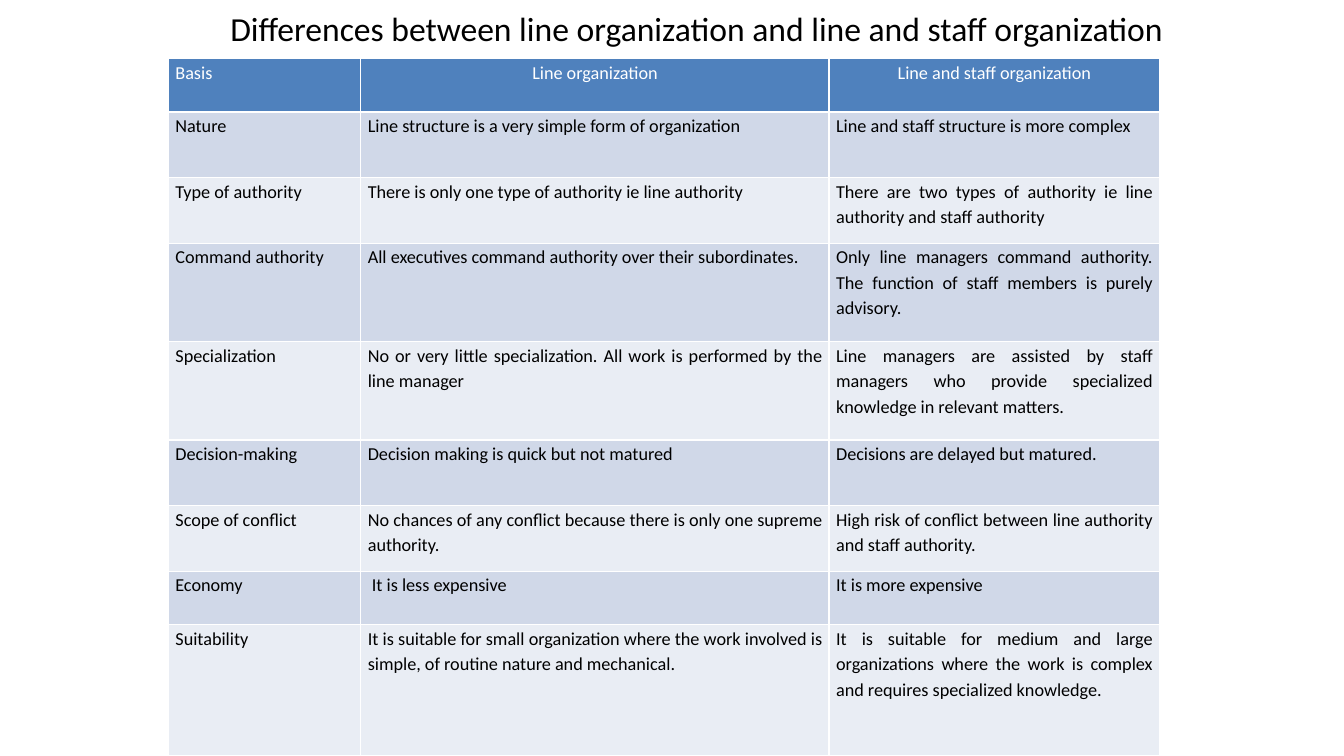
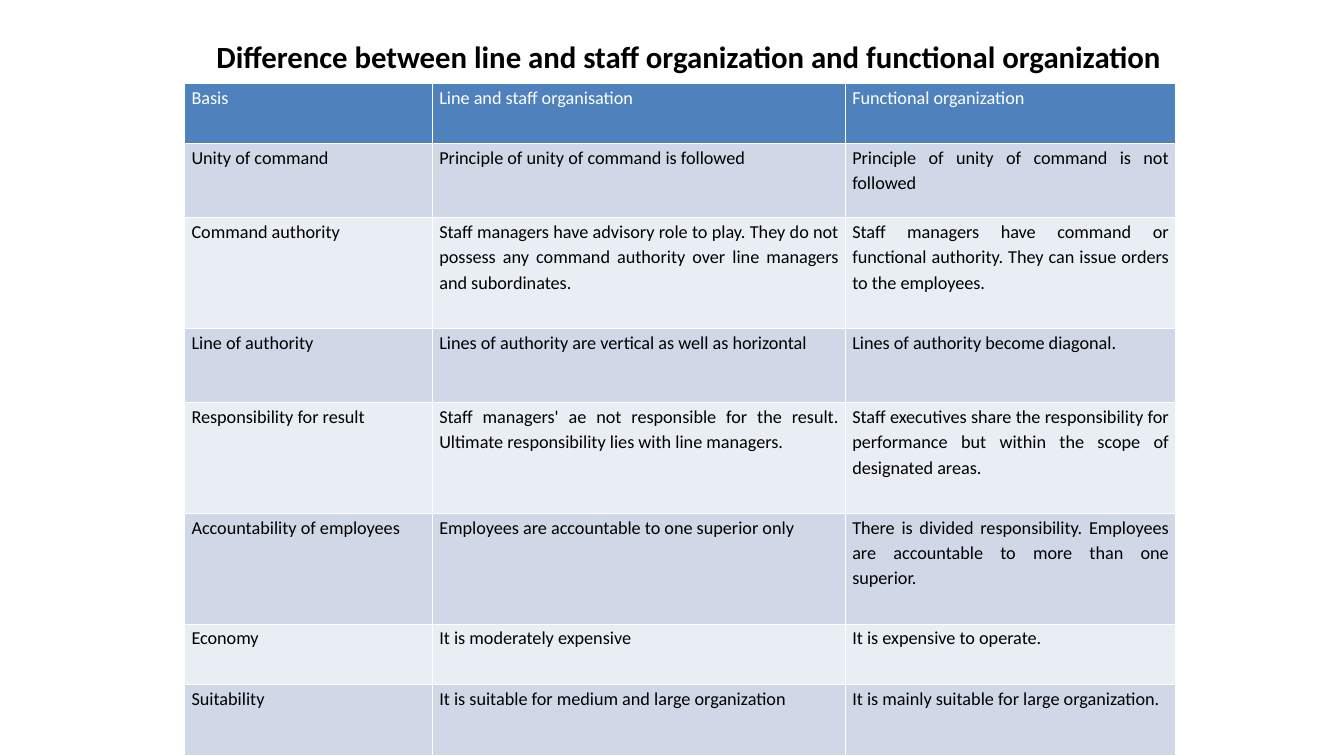
"""Build two slides that compare forms of organization in tables."""
from pptx import Presentation
from pptx.dml.color import RGBColor
from pptx.enum.text import MSO_ANCHOR, PP_ALIGN
from pptx.util import Inches, Pt

CENTER, JUSTIFY = PP_ALIGN.CENTER, PP_ALIGN.JUSTIFY
MIDDLE, TOP = MSO_ANCHOR.MIDDLE, MSO_ANCHOR.TOP

WHITE = RGBColor(0xFF, 0xFF, 0xFF)
BLACK = RGBColor(0x00, 0x00, 0x00)
HEADER_BLUE = RGBColor(0x4F, 0x81, 0xBD)
BAND_DARK = RGBColor(0xD0, 0xD8, 0xE8)
BAND_LIGHT = RGBColor(0xE9, 0xED, 0xF4)

FONT = "Calibri"
CELL_SIZE = 13
SLIDE_WIDTH, SLIDE_HEIGHT = Inches(13.33), Inches(7.5)
TABLE_WIDTH = Inches(9.83)
TITLE_HEIGHT = Inches(0.58)
CELL_INSET = Inches(0.07)
TITLE_ONLY = 5
SHORT_ROW = 1.63

LINE_ROWS = [
    ("Basis", "Line organization", "Line and staff organization"),
    ("Nature",
     "Line structure is a very simple form of organization",
     "Line and staff structure is more complex"),
    ("Type of authority",
     "There is only one type of authority ie line authority",
     "There are two types of authority ie line authority and staff authority"),
    ("Command authority",
     "All executives command authority over their subordinates.",
     "Only line managers command authority. The function of staff members "
     "is purely advisory."),
    ("Specialization",
     "No or very little specialization. All work is performed by the line manager",
     "Line managers are assisted by staff managers who provide specialized "
     "knowledge in relevant matters."),
    ("Decision-making",
     "Decision making is quick but not matured",
     "Decisions are delayed but matured."),
    ("Scope of conflict",
     "No chances of any conflict because there is only one supreme authority.",
     "High risk of conflict between line authority and staff authority."),
    ("Economy", " It is less expensive", "It is more expensive"),
    ("Suitability",
     "It is suitable for small organization where the work involved is simple, "
     "of routine nature and mechanical.",
     "It is suitable for medium and large organizations where the work is "
     "complex and requires specialized knowledge."),
]

FUNCTIONAL_ROWS = [
    ("Basis", "Line and staff organisation", "Functional organization"),
    ("Unity of command",
     "Principle of unity of command is followed",
     "Principle of unity of command is not followed"),
    ("Command authority",
     "Staff managers have advisory role to play. They do not possess any "
     "command authority over line managers and subordinates.",
     "Staff managers have command or functional authority. They can issue "
     "orders to the employees."),
    ("Line of authority",
     "Lines of authority are vertical as well as horizontal",
     "Lines of authority become diagonal."),
    ("Responsibility for result",
     "Staff managers' ae not responsible for the result. Ultimate "
     "responsibility lies with line managers.",
     "Staff executives share the responsibility for performance but within "
     "the scope of designated areas."),
    ("Accountability of employees",
     "Employees are accountable to one superior only",
     "There is divided responsibility. Employees are accountable to more "
     "than one superior."),
    ("Economy", "It is moderately expensive", "It is expensive to operate."),
    ("Suitability",
     "It is suitable for medium and large organization",
     "It is mainly suitable for large organization."),
]


def add_span(para, text, size, color, bold=False):
    """Add one formatted run to a paragraph."""
    span = para.add_run()
    span.text = text
    span.font.name = FONT
    span.font.size = Pt(size)
    span.font.bold = bold
    span.font.color.rgb = color


def set_title(page, text, middle, size, bold=False):
    """Centre the title placeholder on a point and write its text."""
    box = page.shapes.title
    box.width, box.height = Inches(11.16), TITLE_HEIGHT
    box.left = Inches(middle[0]) - box.width // 2
    box.top = Inches(middle[1]) - TITLE_HEIGHT // 2
    box.text_frame.vertical_anchor = MIDDLE
    para = box.text_frame.paragraphs[0]
    para.alignment = CENTER
    add_span(para, text, size, BLACK, bold)


def fill_cell(cell, text, fill, color, alignment):
    """Format one table cell and write its text."""
    cell.fill.solid()
    cell.fill.fore_color.rgb = fill
    cell.margin_left = cell.margin_right = CELL_INSET
    cell.margin_top = cell.margin_bottom = 0
    cell.vertical_anchor = TOP
    para = cell.text_frame.paragraphs[0]
    para.alignment = alignment
    para.line_spacing = 1.15
    add_span(para, text, CELL_SIZE, color)


def share_length(parts, weights, total):
    """Divide a length among columns or rows by weight."""
    for index, weight in enumerate(weights):
        length = int(total * weight / sum(weights))
        if hasattr(parts[index], "width"):
            parts[index].width = length
        else:
            parts[index].height = length


def add_comparison(page, rows, left, top, columns, row_weights, header_alignments):
    """Add a banded comparison table that reaches the foot of the slide."""
    height = SLIDE_HEIGHT - Inches(top)
    table = page.shapes.add_table(
        len(rows), len(columns), Inches(left), Inches(top), TABLE_WIDTH, height).table
    share_length(table.columns, columns, TABLE_WIDTH)
    share_length(table.rows, row_weights, height)
    for row, texts in enumerate(rows):
        for column, text in enumerate(texts):
            if row == 0:
                style = HEADER_BLUE, WHITE, header_alignments[column]
            else:
                style = BAND_DARK if row % 2 else BAND_LIGHT, BLACK, JUSTIFY
            fill_cell(table.cell(row, column), text, *style)


def main():
    """Build and save the deck."""
    deck = Presentation()
    deck.slide_width, deck.slide_height = SLIDE_WIDTH, SLIDE_HEIGHT
    layout = deck.slide_layouts[TITLE_ONLY]

    page = deck.slides.add_slide(layout)
    set_title(page, "Differences between line organization and line and staff organization",
              (6.91, 0.28), 24)
    add_comparison(page, LINE_ROWS, 1.67, 0.58, (2.33, 5.67, 4),
                   (SHORT_ROW, 2, 2, 3, 3, 2, 2, SHORT_ROW, 4),
                   (JUSTIFY, CENTER, CENTER))

    page = deck.slides.add_slide(layout)
    set_title(page, "Difference between line and staff organization and functional organization",
              (6.83, 0.56), 22, bold=True)
    add_comparison(page, FUNCTIONAL_ROWS, 1.83, 0.83, (3, 5, 4),
                   (SHORT_ROW, 2, 3, 2, 3, 3, SHORT_ROW, 1.93),
                   (JUSTIFY, JUSTIFY, JUSTIFY))

    deck.save("out.pptx")


if __name__ == "__main__":
    main()
